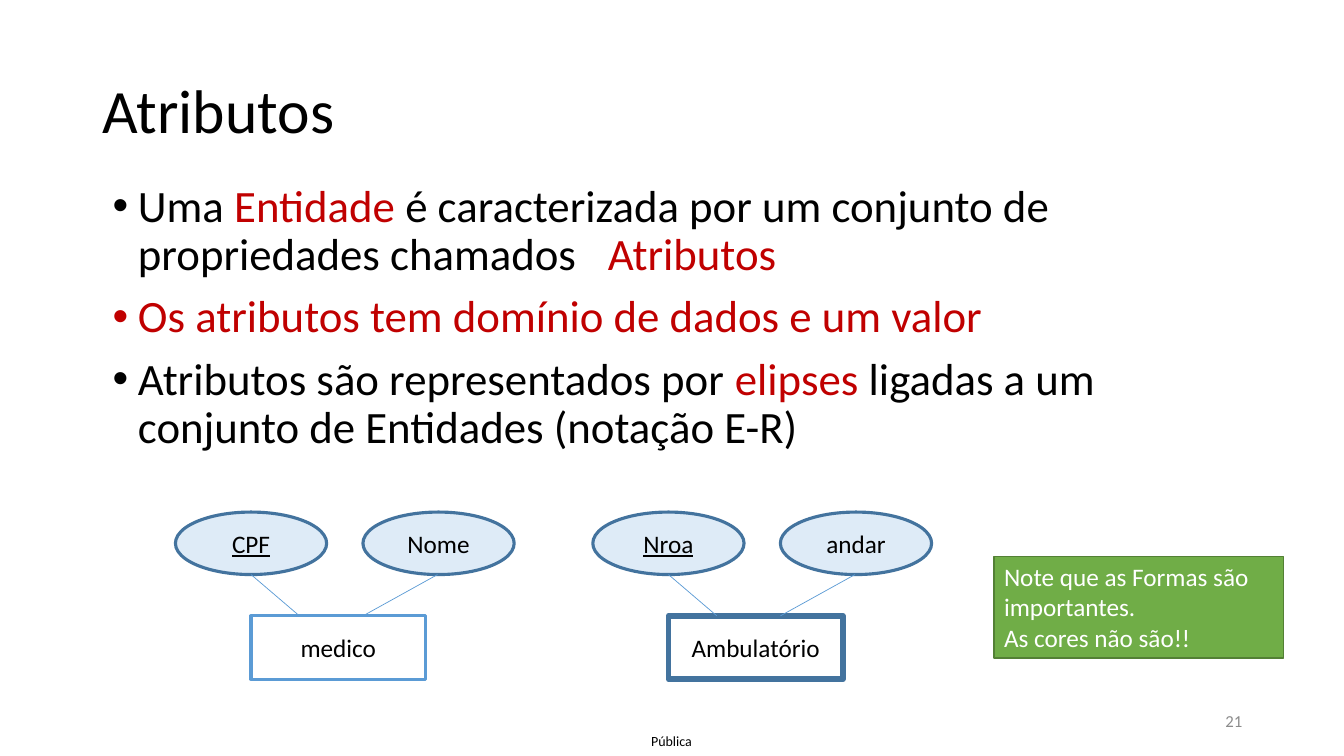
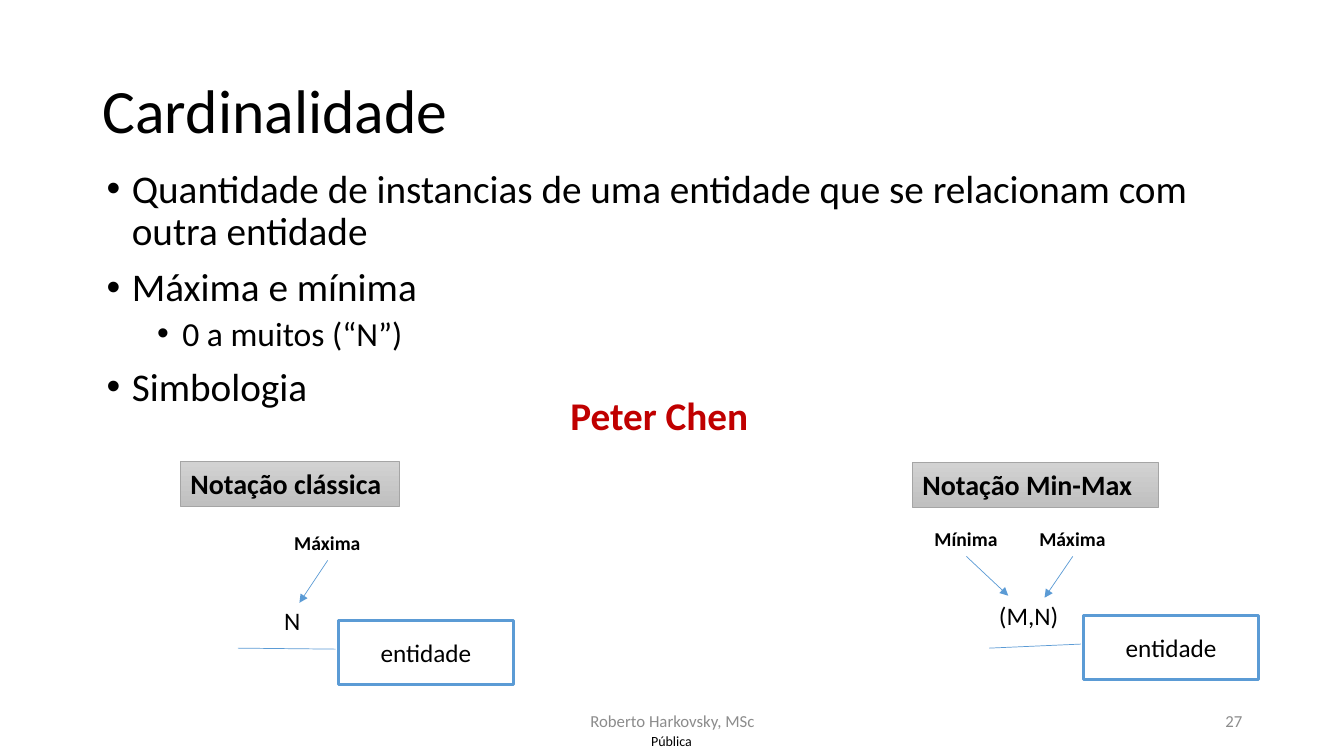
import pptx
import pptx.util
import pptx.dml.color
import pptx.enum.shapes
import pptx.enum.text
import pptx.oxml
import pptx.oxml.ns

Inches, Pt = pptx.util.Inches, pptx.util.Pt
rgb = pptx.dml.color.RGBColor.from_string
SHAPE = pptx.enum.shapes.MSO_SHAPE
ALIGN = pptx.enum.text.PP_ALIGN
MIDDLE = pptx.enum.text.MSO_ANCHOR.MIDDLE
FIT = pptx.enum.text.MSO_AUTO_SIZE.SHAPE_TO_FIT_TEXT

# Shared colours and formats
BLACK, WHITE, RED, GREY = "000000", "FFFFFF", "C00000", "8C8C8C"
BLUE, DARK_BLUE, PALE_BLUE = "5B9BD5", "43739E", "DEEBF7"
GREEN, DARK_GREEN = "70AD47", "538035"
SILVER, MID_SILVER, EDGE_GREY = "D2D2D2", "C0C0C0", "A5A5A5"
CENTERED = {"align": ALIGN.CENTER, "anchor": MIDDLE}
LABEL = {"wrap": False, "grow": True}
ENTITY = {"kind": SHAPE.RECTANGLE, "fill": WHITE, **CENTERED}
ATTRIBUTE = {"kind": SHAPE.OVAL, "fill": PALE_BLUE, "line": (DARK_BLUE, 2.25), **CENTERED}


def put(s, at, paras, size=18, color=BLACK, kind=None, fill=None, line=None,
        align=ALIGN.LEFT, anchor=None, wrap=True, grow=False, **font):
    """Add a text box or shape; paras holds strings or lists of (text, format) runs."""
    box = [Inches(v) for v in at]
    if kind is None:
        sp = s.shapes.add_textbox(*box)
    else:
        sp = s.shapes.add_shape(kind, *box)
        sp.shadow.inherit = False
        if isinstance(fill, tuple):
            sp.fill.gradient()
            sp.fill.gradient_angle = 270
            for stop, c in zip(sp.fill.gradient_stops, fill):
                stop.color.rgb = rgb(c)
        else:
            sp.fill.solid()
            sp.fill.fore_color.rgb = rgb(fill)
        sp.line.color.rgb = rgb(line[0])
        sp.line.width = Pt(line[1])
    tf = sp.text_frame
    tf.word_wrap = wrap
    tf.vertical_anchor = anchor or pptx.enum.text.MSO_ANCHOR.TOP
    if grow:
        tf.auto_size = FIT
    for i, runs in enumerate(paras):
        p = tf.paragraphs[0] if i == 0 else tf.add_paragraph()
        p.alignment = align
        for text, extra in [(runs, {})] if isinstance(runs, str) else runs:
            r = p.add_run()
            r.text = text
            fmt = {"name": "Calibri", "size": size, "color": color, **font, **extra}
            r.font.color.rgb = rgb(fmt.pop("color"))
            fmt["size"] = Pt(fmt["size"])
            for key, value in fmt.items():
                setattr(r.font, key, value)
    return sp


def connect(s, start, end, source=None, arrow=False):
    """Add a thin blue line, optionally leaving the bottom of a box."""
    cx = s.shapes.add_connector(pptx.enum.shapes.MSO_CONNECTOR.STRAIGHT,
                                *[Inches(v) for v in (*start, *end)])
    if source is not None:
        cx.begin_connect(source, 2)
    cx.line.color.rgb = rgb(BLUE)
    cx.line.width = Pt(0.5)
    if arrow:
        tail = pptx.oxml.parse_xml(
            f'<a:tailEnd {pptx.oxml.ns.nsdecls("a")} type="triangle"/>')
        cx.line._get_or_add_ln().append(tail)
    cx._element.spPr.append(
        pptx.oxml.parse_xml(f'<a:effectLst {pptx.oxml.ns.nsdecls("a")}/>'))


prs = pptx.Presentation()
prs.slide_width, prs.slide_height = Inches(13.33), Inches(7.5)

# Title, bullets and footers of both slides
red = {"color": RED}
pages = [
    {"title": "Atributos", "number": "21", "author": None,
     "at": (1.02, 1.77, 11.33, 2.37), "size": 32, "levels": (0, 0, 0),
     "body": [
         [("Uma ", {}), ("Entidade", red),
          (" é caracterizada por um conjunto de propriedades chamados\t", {}),
          ("Atributos", red)],
         [("Os atributos tem domínio de dados e um valor", red)],
         [("Atributos são representados por ", {}), ("elipses", red),
          (" ligadas a um conjunto de Entidades (notação E-R)", {})]]},
    {"title": "Cardinalidade", "number": "27", "author": "Roberto Harkovsky, MSc",
     "at": (0.96, 1.63, 11.5, 2.07), "size": 28, "levels": (0, 0, 1, 0),
     "body": [
         "Quantidade de instancias de uma entidade que se relacionam com outra entidade",
         "Máxima e mínima",
         [("0 a muitos (“N”)", {"size": 24})],
         "Simbologia"]},
]
slides = []
for page in pages:
    s = prs.slides.add_slide(prs.slide_layouts[6])
    slides.append(s)
    mark = put(s, (6.31, 7.21, 0.7, 0.29), ["Pública"], 10, grow=True, **CENTERED)
    for side in ("left", "top", "right", "bottom"):
        setattr(mark.text_frame, f"margin_{side}", 0)
    title = put(s, (0.92, 0.4, 11.5, 1.45), [page["title"]], 44, anchor=MIDDLE)
    title.text_frame.paragraphs[0].line_spacing = 0.9

    body = put(s, page["at"], page["body"], page["size"])
    for i, (p, level) in enumerate(zip(body.text_frame.paragraphs, page["levels"])):
        pPr = p._p.get_or_add_pPr()
        pPr.set("marL", str(Inches(0.25 + 0.5 * level)))
        pPr.set("indent", str(Inches(-0.25)))
        bullet = ['<a:buFont {} typeface="Arial"/>', '<a:buChar {} char="•"/>']
        if any("\t" in r.text for r in p.runs):
            bullet.append('<a:tabLst {}><a:tab pos="%d" algn="l"/></a:tabLst>' % Inches(4.91))
        for xml in bullet:
            pPr.append(pptx.oxml.parse_xml(xml.format(pptx.oxml.ns.nsdecls("a"))))
        p.level = level
        p.line_spacing = 0.9
        if i:
            p.space_before = Pt(5 if level else 10)

    if page["author"]:
        put(s, (4.42, 6.95, 4.5, 0.4), [page["author"]], 12, GREY, **CENTERED)
    put(s, (9.42, 6.95, 3, 0.4), [page["number"]], 12, GREY,
        align=ALIGN.RIGHT, anchor=MIDDLE)

# Atributos: note and two entities with their attributes
s = slides[0]
put(s, (9.86, 5.52, 2.87, 1.01),
    ["Note que as Formas são importantes.", "As cores não são!!"], color=WHITE,
    kind=SHAPE.RECTANGLE, fill=GREEN, line=(DARK_GREEN, 1), grow=True)
for x, entity, key, other, line in [
        (2.49, "medico", "CPF", "Nome", (BLUE, 2.25)),
        (6.63, "Ambulatório", "Nroa", "andar", (DARK_BLUE, 4))]:
    put(s, (x, 6.11, 1.73, 0.63), [entity], line=line, **ENTITY)
    put(s, (x - 0.75, 5.08, 1.5, 0.62), [key], underline=True, **ATTRIBUTE)
    put(s, (x + 1.11, 5.08, 1.5, 0.62), [other], **ATTRIBUTE)
    connect(s, (x, 5.7), (x + 0.48, 6.11))
    connect(s, (x + 1.85, 5.7), (x + 1.11, 6.11))

# Cardinalidade: the two notations
s = slides[1]
put(s, (5.56, 3.83, 1.99, 0.57), ["Peter Chen"], 28, RED, bold=True, **LABEL)
notations = [
    {"name": "Notação clássica", "at": (1.79, 4.58, 2.17, 0.44),
     "entity": (3.36, 6.16), "link": ((2.36, 6.43), (3.33, 6.44)),
     "symbol": ("N", (2.72, 5.96, 0.36, 0.4)),
     "limits": [("Máxima", (2.82, 5.22, 0.86, 0.34), (2.97, 5.98))]},
    {"name": "Notação Min-Max", "at": (9.05, 4.59, 2.44, 0.44),
     "entity": (10.75, 6.11), "link": ((9.81, 6.43), (10.72, 6.39)),
     "symbol": ("(M,N)", (9.81, 5.91, 0.8, 0.4)),
     "limits": [("Máxima", (10.21, 5.18, 0.86, 0.34), (10.36, 5.93)),
                ("Mínima", (9.17, 5.18, 0.83, 0.34), (10, 5.91))]},
]
for n in notations:
    put(s, n["at"], [n["name"]], 20, bold=True, kind=SHAPE.RECTANGLE,
        fill=(SILVER, MID_SILVER), line=(EDGE_GREY, 0.5), grow=True)
    put(s, (*n["entity"], 1.73, 0.63), ["entidade"], line=(BLUE, 2.25), **ENTITY)
    connect(s, *n["link"])
    symbol, at = n["symbol"]
    put(s, at, [symbol], **LABEL)
    for text, at, tip in n["limits"]:
        label = put(s, at, [text], 14, bold=True, **LABEL)
        connect(s, at[:2], tip, source=label, arrow=True)

prs.save("out.pptx")
